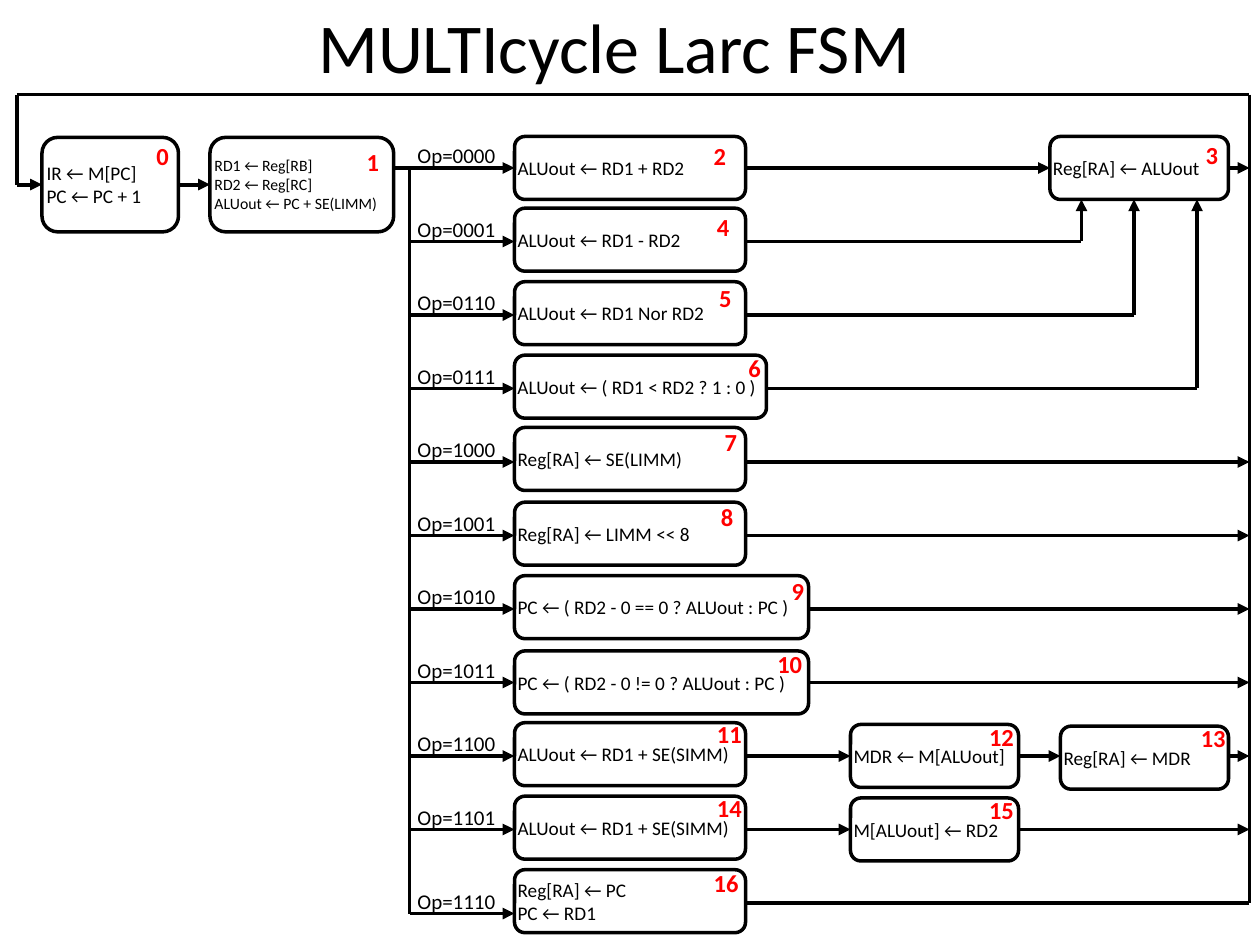
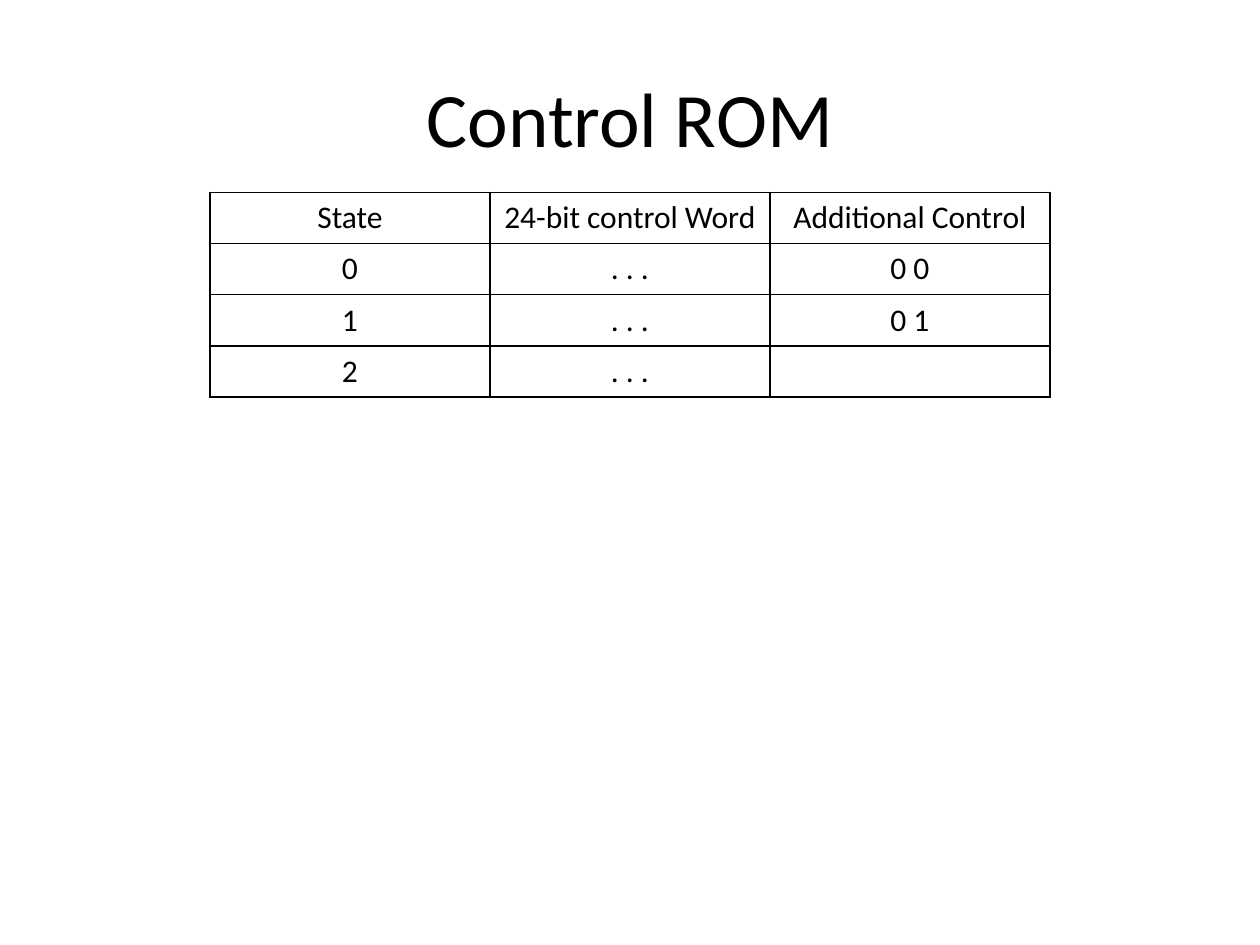
from lxml import etree
from pptx import Presentation
from pptx.dml.color import RGBColor
from pptx.enum import shapes, text
from pptx.oxml import ns
from pptx.util import Pt

COLORS = {"ink": "000000", "number": "FF0000", "paper": "FFFFFF"}
FONT = "Calibri"


def write(frame, content, size=11, color="ink", bold=False, align="LEFT", anchor="TOP",
          margins=(0, 0, 0, 0), wrap=True, grow=False):
    """Fill a text frame, one paragraph for each line of the content."""
    frame.word_wrap = wrap
    frame.auto_size = getattr(text.MSO_AUTO_SIZE, "SHAPE_TO_FIT_TEXT" if grow else "NONE")
    frame.vertical_anchor = getattr(text.MSO_ANCHOR, anchor)
    frame.margin_left, frame.margin_top, frame.margin_right, frame.margin_bottom = map(Pt, margins)
    frame.text = content
    for paragraph in frame.paragraphs:
        paragraph.alignment = getattr(text.PP_ALIGN, align)
        for run in paragraph.runs:
            run.font.name, run.font.size, run.font.bold = FONT, Pt(size), bold
            run.font.color.rgb = RGBColor.from_string(COLORS[color])


def connect(slide, x1, y1, x2, y2, arrow=True):
    """Draw a straight line, with an arrowhead at its end if wanted."""
    line = slide.shapes.add_connector(shapes.MSO_CONNECTOR.STRAIGHT, Pt(x1), Pt(y1), Pt(x2), Pt(y2))
    line.line.width = Pt(2.25)
    line.line.color.rgb = RGBColor.from_string(COLORS["ink"])
    if arrow:
        etree.SubElement(line.line._get_or_add_ln(), ns.qn("a:tailEnd"), type="triangle")
    etree.SubElement(line._element.spPr, ns.qn("a:effectLst"))


presentation = Presentation()
presentation.slide_width, presentation.slide_height = Pt(720), Pt(540)

# Slides and titles: text, place, size, right margin
TITLES = [
    ("MULTIcycle Larc FSM", (0, 0, 720, 52), 40, 25.2),
    ("Control ROM", (36, 21.6, 648, 90), 44, 7.2),
]
slides = []
for title, place, size, right_margin in TITLES:
    slide = presentation.slides.add_slide(presentation.slide_layouts[5])
    slide.background.fill.solid()
    slide.background.fill.fore_color.rgb = RGBColor.from_string(COLORS["paper"])
    holder = slide.shapes.title
    holder.left, holder.top, holder.width, holder.height = map(Pt, place)
    write(holder.text_frame, title, size=size, align="CENTER", anchor="MIDDLE",
          margins=(7.2, 3.6, right_margin, 3.6))
    slides.append(slide)
fsm_slide, rom_slide = slides

# State machine: columns and rows
LOOP_LEFT, LOOP_RIGHT, LOOP_TOP = 9.5, 714, 54
BUS, OP_LEFT, OP_RIGHT = 234, 294, 426
DECODE_RIGHT = 225
MEMORY_LEFT, MEMORY_RIGHT = 486, 582
RELOAD_LEFT, WRITE_LEFT, WRITE_RIGHT = 606, 600, 702
FETCH_Y, ROW_TOP, ROW_STEP, LAST_ROW, LAST_EXIT = 105.5, 96, 42, 522, 516

OPCODES = ["0000", "0001", "0110", "0111", "1000", "1001", "1010", "1011", "1100", "1101", "1110"]
rows = [ROW_TOP + ROW_STEP * i for i in range(len(OPCODES) - 1)] + [LAST_ROW]

# States in order of number: left, top, right, number left, number top, text
STATES = [
    (24, 78.5, 102, 89.3, 80.6, "IR ← M[PC]\nPC ← PC + 1"),
    (120, 78.5, DECODE_RIGHT, 209.5, 83.8, "RD1 ← Reg[RB]\nRD2 ← Reg[RC]\nALUout ← PC + SE(LIMM)"),
    (OP_LEFT, 78, OP_RIGHT, 407.8, 80.6, "ALUout ← RD1 + RD2"),
    (WRITE_LEFT, 78, WRITE_RIGHT, 689, 80, "Reg[RA] ← ALUout"),
    (OP_LEFT, 119, OP_RIGHT, 409.7, 121.4, "ALUout ← RD1 - RD2"),
    (OP_LEFT, 161, OP_RIGHT, 411, 162, "ALUout ← RD1 Nor RD2"),
    (OP_LEFT, 203, 438, 427.7, 201.6, "ALUout ← ( RD1 < RD2 ? 1 : 0 )"),
    (OP_LEFT, 244.3, OP_RIGHT, 414, 244, "Reg[RA] ← SE(LIMM)"),
    (OP_LEFT, 287, OP_RIGHT, 412, 286.6, "Reg[RA] ← LIMM << 8"),
    (OP_LEFT, 329, 462, 452.4, 329, "PC ← ( RD2 - 0 == 0 ? ALUout : PC )"),
    (OP_LEFT, 372, 462, 444.2, 370.8, "PC ← ( RD2 - 0 != 0 ? ALUout : PC )"),
    (OP_LEFT, 413, OP_RIGHT, 409.7, 411, "ALUout ← RD1 + SE(SIMM)"),
    (MEMORY_LEFT, 414, MEMORY_RIGHT, 565.2, 412.5, "MDR ← M[ALUout]"),
    (RELOAD_LEFT, 415, WRITE_RIGHT, 686.2, 413.3, "Reg[RA] ← MDR"),
    (OP_LEFT, 455, OP_RIGHT, 409.7, 453, "ALUout ← RD1 + SE(SIMM)"),
    (MEMORY_LEFT, 456, MEMORY_RIGHT, 565.2, 454.3, "M[ALUout] ← RD2"),
    (OP_LEFT, 497, OP_RIGHT, 407.8, 496, "Reg[RA] ← PC\nPC ← RD1"),
]
for number, (left, top, right, number_left, number_top, content) in enumerate(STATES):
    box = fsm_slide.shapes.add_shape(
        shapes.MSO_SHAPE.FLOWCHART_ALTERNATE_PROCESS,
        Pt(left), Pt(top), Pt(right - left), Pt(54 if number < 2 else 36))
    box.shadow.inherit = False
    box.fill.background()
    box.line.width = Pt(2)
    box.line.color.rgb = RGBColor.from_string(COLORS["ink"])
    write(box.text_frame, content, size=9 if number == 1 else 11, anchor="MIDDLE")
    label = fsm_slide.shapes.add_textbox(
        Pt(number_left), Pt(number_top), Pt(7.4 * len(str(number))), Pt(17))
    write(label.text_frame, str(number), size=14, color="number", bold=True, wrap=False, grow=True)

# Opcode branches from the bus
for opcode, y in zip(OPCODES, rows):
    connect(fsm_slide, DECODE_RIGHT if y == ROW_TOP else BUS, y, OP_LEFT, y)
    label = fsm_slide.shapes.add_textbox(Pt(238.5), Pt(y - 14.4), Pt(45.6), Pt(14.4))
    write(label.text_frame, f"Op={opcode}", size=12, wrap=False, grow=True)
connect(fsm_slide, BUS, ROW_TOP, BUS, LAST_ROW, arrow=False)

# Fetch and the loop back to it
connect(fsm_slide, LOOP_LEFT, FETCH_Y, 24, FETCH_Y)
connect(fsm_slide, 102, FETCH_Y, 120, FETCH_Y)
connect(fsm_slide, OP_RIGHT, LAST_EXIT, LOOP_RIGHT, LAST_EXIT, arrow=False)
connect(fsm_slide, LOOP_RIGHT, LOOP_TOP, LOOP_RIGHT, LAST_EXIT, arrow=False)
connect(fsm_slide, LOOP_LEFT, LOOP_TOP, LOOP_RIGHT, LOOP_TOP, arrow=False)
connect(fsm_slide, LOOP_LEFT, FETCH_Y, LOOP_LEFT, LOOP_TOP, arrow=False)

# Arithmetic results that join at the write-back state
for row, start, join in [(1, OP_RIGHT, 618), (2, OP_RIGHT, 648), (3, 438, 684)]:
    connect(fsm_slide, start, rows[row], join, rows[row], arrow=False)
    connect(fsm_slide, join, rows[row], join, 114)

# Horizontal steps: row, start, end
STEPS = [
    (0, OP_RIGHT, WRITE_LEFT), (0, WRITE_RIGHT, LOOP_RIGHT),
    (4, OP_RIGHT, LOOP_RIGHT), (5, OP_RIGHT, LOOP_RIGHT),
    (6, 462, LOOP_RIGHT), (7, 462, LOOP_RIGHT),
    (8, OP_RIGHT, MEMORY_LEFT), (8, MEMORY_RIGHT, RELOAD_LEFT), (8, WRITE_RIGHT, LOOP_RIGHT),
    (9, OP_RIGHT, MEMORY_LEFT), (9, MEMORY_RIGHT, LOOP_RIGHT),
]
for row, start, end in STEPS:
    connect(fsm_slide, start, rows[row], end, rows[row])

# Control table
CONTROL_WORDS = [
    ("State", "24-bit control Word", "Additional Control"),
    ("0", ". . .", "0 0"),
    ("1", ". . .", "0 1"),
    ("2", ". . .", ""),
]
table = rom_slide.shapes.add_table(4, 3, Pt(120), Pt(110), Pt(480), Pt(116.8)).table
table.first_row = table.horz_banding = False
for row, values in zip(table.rows, CONTROL_WORDS):
    row.height = Pt(29.2)
    for cell, value in zip(row.cells, values):
        cell.text = value
        paragraph = cell.text_frame.paragraphs[0]
        paragraph.alignment = text.PP_ALIGN.CENTER
        paragraph.font.name, paragraph.font.size = FONT, Pt(18)
        for run in paragraph.runs:
            run.font.name, run.font.size = FONT, Pt(18)
            run.font.color.rgb = RGBColor.from_string(COLORS["ink"])
        properties = cell._tc.get_or_add_tcPr()
        for side in ("lnL", "lnR", "lnT", "lnB"):
            border = etree.SubElement(properties, ns.qn(f"a:{side}"), w=str(Pt(1)))
            fill = etree.SubElement(border, ns.qn("a:solidFill"))
            etree.SubElement(fill, ns.qn("a:srgbClr"), val=COLORS["ink"])
        cell.fill.background()

presentation.save("out.pptx")
